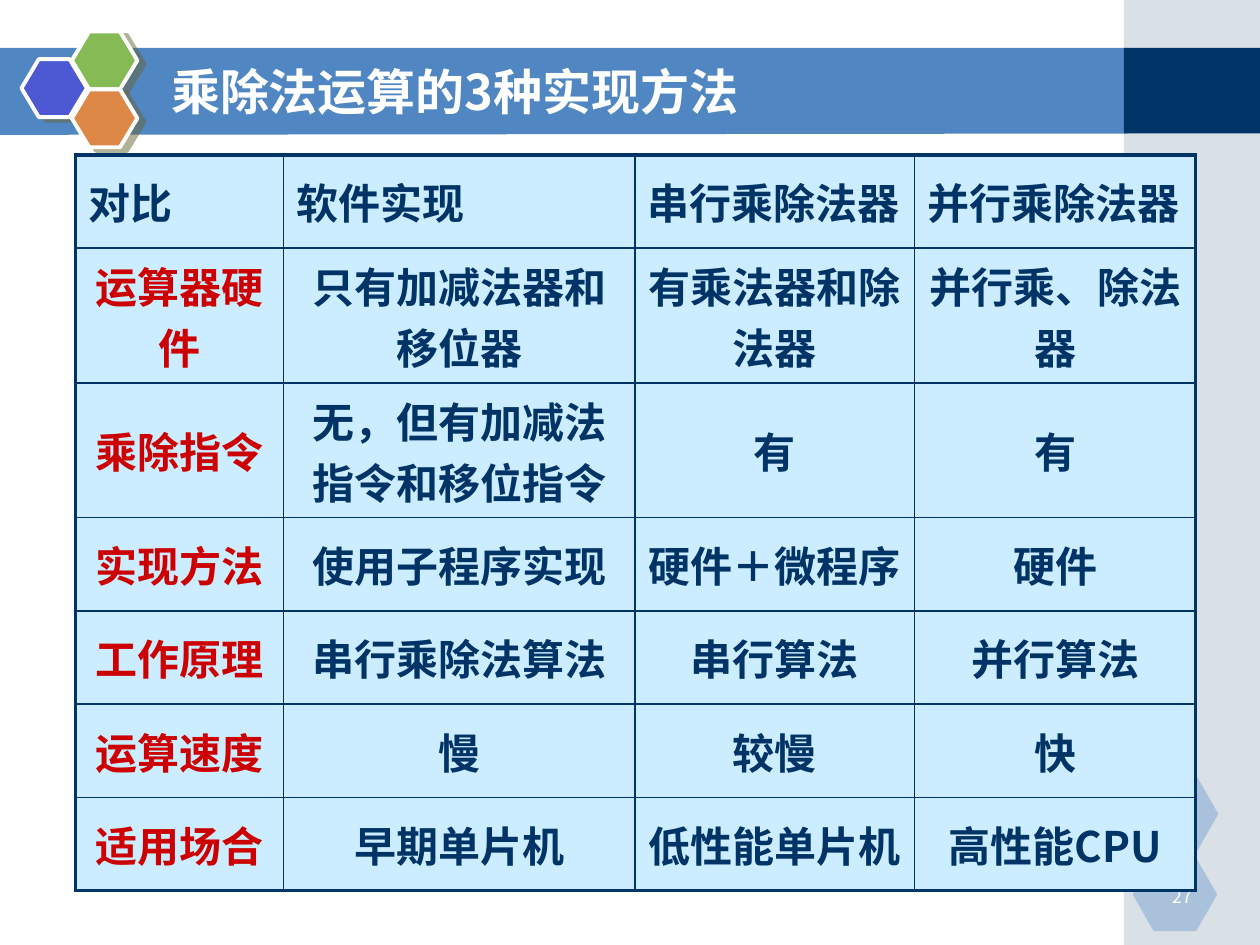
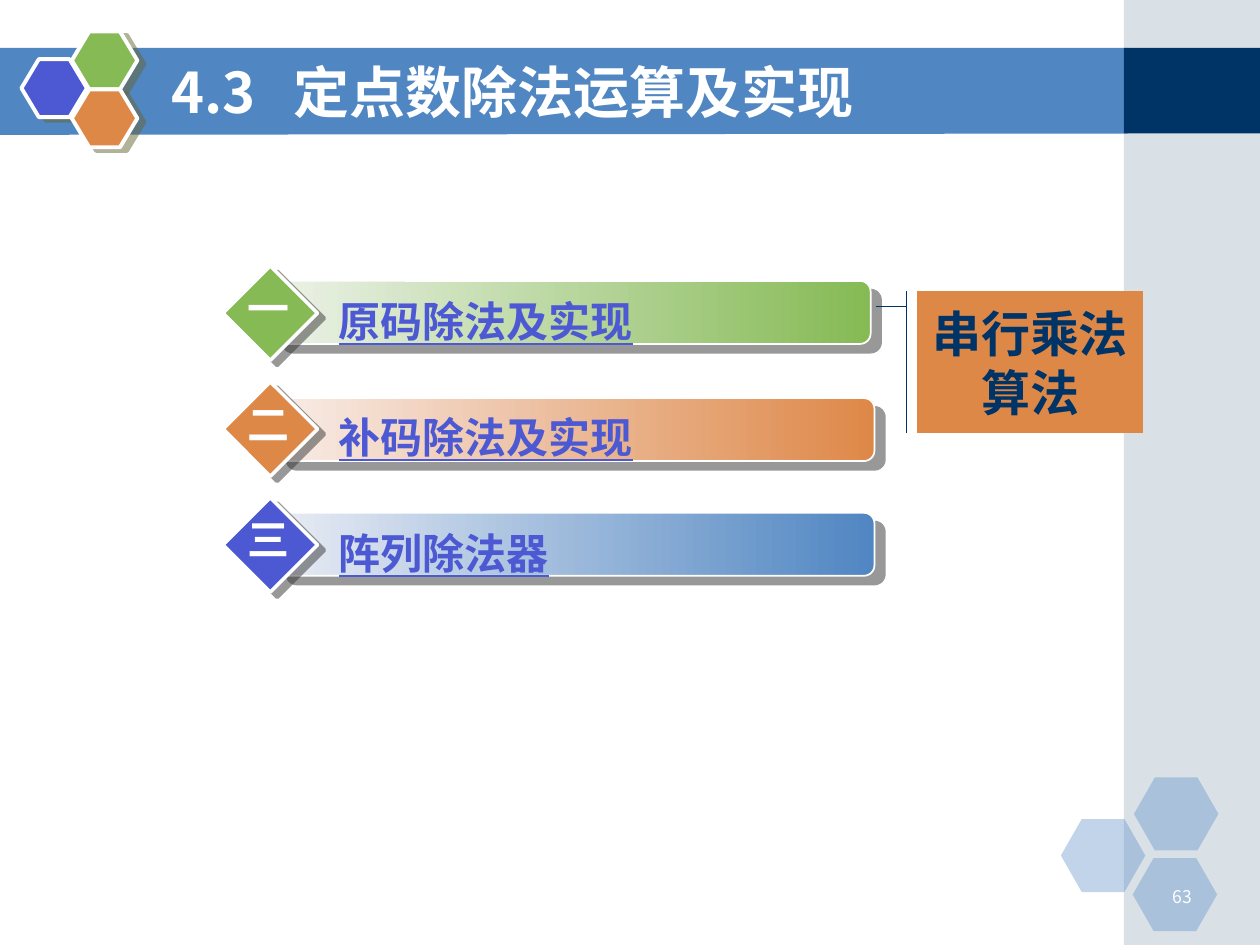
from lxml import etree
from pptx import Presentation
from pptx.dml.color import RGBColor
from pptx.enum import shapes, text
from pptx.oxml import ns
from pptx.util import Inches, Pt

C = {"blue": "5086C2", "navy": "003366", "side": "A0B5C4", "indigo": "4C59D2",
     "green": "85BA54", "orange": "DE8848", "white": "FFFFFF", "red": "CC0000",
     "cell": "CCECFF", "olive": "666633", "gray": "333333",
     "pale_green": "ECF2E8", "pale_orange": "F8ECE7", "pale_blue": "E8ECF4"}
CJK = "Noto Sans CJK SC"
MSO = shapes.MSO_SHAPE
CENTER, RIGHT = text.PP_ALIGN.CENTER, text.PP_ALIGN.RIGHT
MIDDLE = text.MSO_ANCHOR.MIDDLE

prs = Presentation()
prs.slide_width, prs.slide_height = Inches(10), Inches(7.5)


def paint(sp, fill, line=None, alpha=None, shadow=None):
    """Fill with a colour or a pair of gradient colours; line is (colour, points),
    alpha is opacity in percent, shadow is (colour, distance in points, degrees)."""
    sp.shadow.inherit = False
    if isinstance(fill, tuple):
        sp.fill.gradient()
        sp.fill.gradient_angle = 0
        for stop, name in zip(sp.fill.gradient_stops, fill):
            stop.color.rgb = RGBColor.from_string(C[name])
    else:
        sp.fill.solid()
        sp.fill.fore_color.rgb = RGBColor.from_string(C[fill])
    if alpha:
        clr = sp.element.spPr.find(".//" + ns.qn("a:srgbClr"))
        etree.SubElement(clr, ns.qn("a:alpha"), val=str(alpha * 1000))
    if line:
        sp.line.color.rgb = RGBColor.from_string(C[line[0]])
        sp.line.width = Pt(line[1])
    else:
        sp.line.fill.background()
    if shadow:
        name, dist, angle = shadow
        effects = sp.element.spPr.find(ns.qn("a:effectLst"))
        outer = etree.SubElement(effects, ns.qn("a:outerShdw"), blurRad="0", dist=str(Pt(dist)),
                                 dir=str(angle * 60000), algn="ctr", rotWithShape="0")
        clr = etree.SubElement(outer, ns.qn("a:srgbClr"), val=C[name])
        etree.SubElement(clr, ns.qn("a:alpha"), val="50000")


def write(tf, words, size, color, align=None, face=CJK, **fmt):
    p = tf.paragraphs[0]
    p.alignment = align
    r = p.add_run()
    r.text = words
    for key, value in {"name": face, "size": Pt(size), **fmt}.items():
        setattr(r.font, key, value)
    r.font.color.rgb = RGBColor.from_string(C[color])
    etree.SubElement(r.font._element, ns.qn("a:ea"), typeface=face)
    return p


# Shared frame of both slides
slides = []
for title, size, number in [("乘除法运算的3种实现方法", 28, "27"),
                            ("4.3\t定点数除法运算及实现", 32, "63")]:
    s = prs.slides.add_slide(prs.slide_layouts[6])
    slides.append(s)

    band = s.shapes.build_freeform(Inches(-0.01), Inches(0.38))
    band.add_line_segments([(Inches(x), Inches(y)) for x, y in
                            [(8.95, 0.38), (8.95, 1.06), (-0.01, 1.07)]])
    paint(band.convert_to_shape(), "blue")

    for top, height, color, alpha in [(0, 7.5, "side", 40), (0.38, 0.68, "navy", None)]:
        sp = s.shapes.add_shape(MSO.RECTANGLE, Inches(8.92), Inches(top),
                                Inches(1.08), Inches(height))
        paint(sp, color, alpha=alpha)

    for x, y in [(8.42, 6.5), (9, 6.17), (8.99, 6.81)]:
        sp = s.shapes.add_shape(MSO.HEXAGON, Inches(x), Inches(y), Inches(0.67), Inches(0.58))
        sp.adjustments[0] = 0.286
        paint(sp, "blue", alpha=35)

    for x, y, color in [(0.17, 0.47, "indigo"), (0.57, 0.25, "green"), (0.57, 0.71, "orange")]:
        sp = s.shapes.add_shape(MSO.HEXAGON, Inches(x), Inches(y), Inches(0.52), Inches(0.46))
        sp.adjustments[0] = 0.3
        paint(sp, color, ("white", 2.25), shadow=("olive", 4.5, 27))

    tf = s.shapes.add_textbox(Inches(9.06), Inches(6.98), Inches(0.5), Inches(0.25)).text_frame
    tf.word_wrap = True
    write(tf, number, 10, "white", RIGHT)

    tf = s.shapes.add_textbox(Inches(1.26), Inches(0.41), Inches(7.33), Inches(0.62)).text_frame
    tf.word_wrap, tf.vertical_anchor = True, MIDDLE
    p = write(tf, title, size, "white", bold=True)
    if "\t" in title:
        tabs = etree.SubElement(p._p.get_or_add_pPr(), ns.qn("a:tabLst"))
        etree.SubElement(tabs, ns.qn("a:tab"), pos=str(Inches(0.97)), algn="l")

compare, contents = slides

# Comparison table
rows = [
    ["对比", "软件实现", "串行乘除法器", "并行乘除法器"],
    ["运算器硬件", "只有加减法器和移位器", "有乘法器和除法器", "并行乘、除法器"],
    ["乘除指令", "无，但有加减法指令和移位指令", "有", "有"],
    ["实现方法", "使用子程序实现", "硬件＋微程序", "硬件"],
    ["工作原理", "串行乘除法算法", "串行算法", "并行算法"],
    ["运算速度", "慢", "较慢", "快"],
    ["适用场合", "早期单片机", "低性能单片机", "高性能CPU"],
]
widths = [1.65, 2.79, 2.22, 2.23]
heights = [0.74, 1.07, 1.07, 0.74, 0.74, 0.74, 0.74]
table = compare.shapes.add_table(len(rows), len(widths), Inches(0.6), Inches(1.23),
                                 Inches(sum(widths)), Inches(sum(heights))).table
table.first_row = table.horz_banding = False
for column, width in zip(table.columns, widths):
    column.width = Inches(width)
for i, (row, height) in enumerate(zip(rows, heights)):
    table.rows[i].height = Inches(height)
    for j, words in enumerate(row):
        cell = table.cell(i, j)
        outer = {"lnL": j == 0, "lnR": j == len(widths) - 1,
                 "lnT": i == 0, "lnB": i == len(rows) - 1}
        for side, is_outer in outer.items():
            ln = etree.SubElement(cell._tc.get_or_add_tcPr(), ns.qn("a:" + side),
                                  w=str(Pt(2.25 if is_outer else 1)))
            fill = etree.SubElement(ln, ns.qn("a:solidFill"))
            etree.SubElement(fill, ns.qn("a:srgbClr"), val=C["navy"])
        cell.fill.solid()
        cell.fill.fore_color.rgb = RGBColor.from_string(C["cell"])
        cell.vertical_anchor = MIDDLE
        write(cell.text_frame, words, 24, "red" if i and j == 0 else "navy",
              CENTER if i else None, bold=True)

# Section list
sections = [("一", "原码除法及实现", 2.16, 2.23, ("pale_green", "green"), "green"),
            ("二", "补码除法及实现", 2.19, 3.16, ("pale_orange", "orange"), "orange"),
            ("三", "阵列除法器", 2.19, 4.07, ("pale_blue", "blue"), "indigo")]
step = 0.92
for i, (numeral, name, left, top, gradient, color) in enumerate(sections):
    y = i * step
    bar = contents.shapes.add_shape(MSO.ROUNDED_RECTANGLE, Inches(left), Inches(top),
                                    Inches(4.75), Inches(0.5))
    paint(bar, gradient, ("white", 1), shadow=("gray", 7.8, 40))

    tf = contents.shapes.add_textbox(Inches(2.44), Inches(2.3 + y),
                                     Inches(4.3), Inches(0.5)).text_frame
    tf.word_wrap, tf.margin_left = True, Inches(0.25)
    write(tf, name, 24, "indigo", bold=True, underline=True)

    diamond = contents.shapes.add_shape(MSO.DIAMOND, Inches(1.77), Inches(2.11 + y),
                                        Inches(0.75), Inches(0.75))
    paint(diamond, color, ("white", 2), shadow=("gray", 5, 37))

    tf = contents.shapes.add_textbox(Inches(1.86), Inches(2.19 + y),
                                     Inches(0.54), Inches(0.5)).text_frame
    tf.word_wrap = False
    write(tf, numeral, 24, "white", CENTER, bold=True)

callout = contents.shapes.add_shape(MSO.LINE_CALLOUT_2_ACCENT_BAR, Inches(7.28), Inches(2.31),
                                    Inches(1.79), Inches(1.13))
for i, value in enumerate([0.111, -0.047, 0.111, -0.109, 0.111, -0.181]):
    callout.adjustments[i] = value
paint(callout, "orange", ("navy", 0.75))
callout.text_frame.vertical_anchor = MIDDLE
write(callout.text_frame, "串行乘法算法", 28, "navy", CENTER, "Arial", bold=True)

prs.save("out.pptx")
